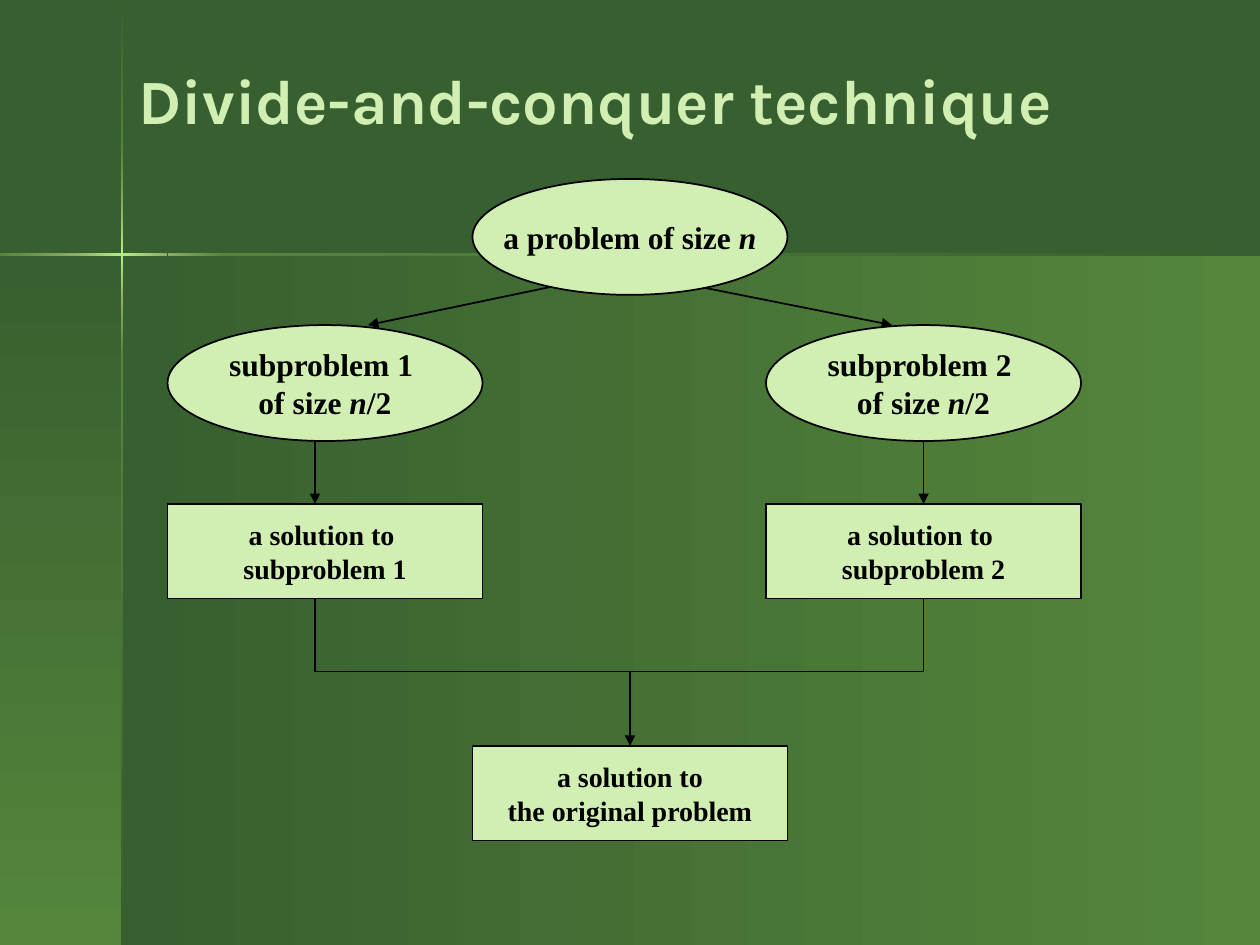
from dataclasses import dataclass

from lxml.etree import SubElement
from pptx import Presentation
from pptx.dml.color import RGBColor
from pptx.enum.shapes import MSO_CONNECTOR as CONN, MSO_SHAPE as SHAPE
from pptx.enum.text import MSO_ANCHOR as ANCHOR, MSO_AUTO_SIZE as AUTO, PP_ALIGN as ALIGN
from pptx.oxml.ns import qn
from pptx.util import Inches, Pt


@dataclass(frozen=True)
class Theme:
    """Colours, fonts and type sizes of the slide."""
    dark: str = "375F2F"
    mid: str = "55863C"
    glow: str = "8EAC66"
    spark: str = "B4EF7F"
    pale: str = "D1EFB3"
    ink: str = "000000"
    title_font: str = "Karla"
    body_font: str = "Times New Roman"
    title_size: int = 36
    problem_size: int = 18
    solution_size: int = 16
    line_width: int = 1


T = Theme()
DOWN, LEFTWARD = 90, 180
NODE_W, PROBLEM_H, SOLUTION_H = 2.5, 0.92, 0.75
LEFT_X, MID_X, RIGHT_X = 1.33, 3.75, 6.08
ROOT_Y, SUB_Y, SOLVED_Y, MERGE_Y, FINAL_Y = 1.42, 2.58, 4, 5.33, 5.92


def rgb(color):
    """Return a colour object for a hex string."""
    return RGBColor.from_string(color)


def add_run(p, text, font, size, color, italic=False):
    """Add one bold run to a paragraph."""
    r = p.add_run()
    r.text = text
    r.font.name, r.font.size = font, Pt(size)
    r.font.bold, r.font.italic = True, italic
    r.font.color.rgb = rgb(color)


def add_gradient(s, box, colors, angle):
    """Add a rectangle with an evenly spaced linear gradient."""
    sp = s.shapes.add_shape(SHAPE.RECTANGLE, *map(Inches, box))
    sp.shadow.inherit = False
    sp.line.fill.background()
    sp.fill.gradient()
    sp.fill.gradient_angle = 360 - angle
    stops = sp.element.spPr.find(qn("a:gradFill")).find(qn("a:gsLst"))
    for old in list(stops):
        stops.remove(old)
    for i, color in enumerate(colors):
        gs = SubElement(stops, qn("a:gs"), pos=str(100000 * i // (len(colors) - 1)))
        SubElement(gs, qn("a:srgbClr"), val=color)


def add_backdrop(s):
    """Draw the two panels and the glowing cross that divides them."""
    s.background.fill.solid()
    s.background.fill.fore_color.rgb = rgb(T.dark)
    rise, flare = (T.dark, T.mid), (T.glow, T.spark, T.glow)
    add_gradient(s, (0.97, 2.02, 9.03, 5.48), rise[::-1], LEFTWARD)
    add_gradient(s, (0, 2.02, 0.97, 5.48), rise, DOWN)
    for top, height, colors in (
        (0.01, 1.2, rise),
        (2.82, 4.68, rise[::-1]),
        (2.38, 0.44, (T.glow, T.mid)),
        (1.21, 0.44, (T.mid, T.glow)),
        (1.65, 0.73, flare),
    ):
        add_gradient(s, (0.96, top, 0.02, height), colors, DOWN)
    for left, width, colors in (
        (1.77, 8.23, rise),
        (0, 0.61, (T.glow, T.mid)),
        (1.33, 0.44, (T.mid, T.glow)),
        (0.6, 0.73, flare),
    ):
        add_gradient(s, (left, 2.01, width, 0.02), colors, LEFTWARD)


def add_title(s, text):
    """Place and fill the title placeholder."""
    sp = s.shapes.title
    s.shapes.element.append(sp.element)
    sp.left, sp.top, sp.width, sp.height = map(Inches, (1, 0.33, 8.67, 0.92))
    tf = sp.text_frame
    tf.auto_size, tf.vertical_anchor = AUTO.NONE, ANCHOR.MIDDLE
    p = tf.paragraphs[0]
    p.alignment = ALIGN.LEFT
    add_run(p, text, T.title_font, T.title_size, T.pale)


def add_node(s, kind, left, top, height, size, lines):
    """Add an outlined node; each line is a list of runs, with n in italics."""
    sp = s.shapes.add_shape(kind, *map(Inches, (left, top, NODE_W, height)))
    sp.shadow.inherit = False
    sp.fill.solid()
    sp.fill.fore_color.rgb = rgb(T.pale)
    sp.line.color.rgb = rgb(T.ink)
    sp.line.width = Pt(T.line_width)
    tf = sp.text_frame
    tf.word_wrap, tf.vertical_anchor = False, ANCHOR.MIDDLE
    for i, runs in enumerate(lines):
        p = tf.add_paragraph() if i else tf.paragraphs[0]
        p.alignment = ALIGN.CENTER
        for text in runs:
            add_run(p, text, T.body_font, size, T.ink, text == "n")


def add_problem(s, left, top, lines):
    """Add a problem ellipse."""
    add_node(s, SHAPE.OVAL, left, top, PROBLEM_H, T.problem_size, lines)


def add_solution(s, left, top, lines):
    """Add a solution box."""
    add_node(s, SHAPE.RECTANGLE, left, top, SOLUTION_H, T.solution_size, lines)


def add_line(s, start, end, arrow=False):
    """Add a straight connector, with an arrowhead if asked."""
    cn = s.shapes.add_connector(CONN.STRAIGHT, *map(Inches, (*start, *end)))
    cn.line.color.rgb = rgb(T.ink)
    cn.line.width = Pt(T.line_width)
    if arrow:
        SubElement(cn.line._get_or_add_ln(), qn("a:tailEnd"), type="triangle")
    SubElement(cn.element.spPr, qn("a:effectLst"))


def main():
    """Build the slide and save it."""
    prs = Presentation()
    prs.slide_width, prs.slide_height = Inches(10), Inches(7.5)
    s = prs.slides.add_slide(prs.slide_layouts[5])
    add_backdrop(s)
    add_title(s, "Divide-and-conquer technique")

    branches = ((1, LEFT_X, 2.5, 4.5, 2.92), (2, RIGHT_X, 7.33, 5.42, 7.08))
    for number, left, stem, fork, tip in branches:
        add_problem(s, left, SUB_Y, [[f"subproblem {number} "], ["of size ", "n", "/2"]])
        add_solution(s, left, SOLVED_Y, [["a solution to "], [f"subproblem {number}"]])
        add_line(s, (fork, 2.25), (tip, SUB_Y), arrow=True)
        add_line(s, (stem, SUB_Y + PROBLEM_H), (stem, SOLVED_Y), arrow=True)
        add_line(s, (stem, SOLVED_Y + SOLUTION_H), (stem, MERGE_Y))
    add_problem(s, MID_X, ROOT_Y, [["a problem of size ", "n"]])
    add_line(s, (2.5, MERGE_Y), (7.33, MERGE_Y))
    add_line(s, (5, MERGE_Y), (5, FINAL_Y), arrow=True)
    add_solution(s, MID_X, FINAL_Y, [["a solution to"], ["the original problem"]])
    prs.save("out.pptx")


if __name__ == "__main__":
    main()
